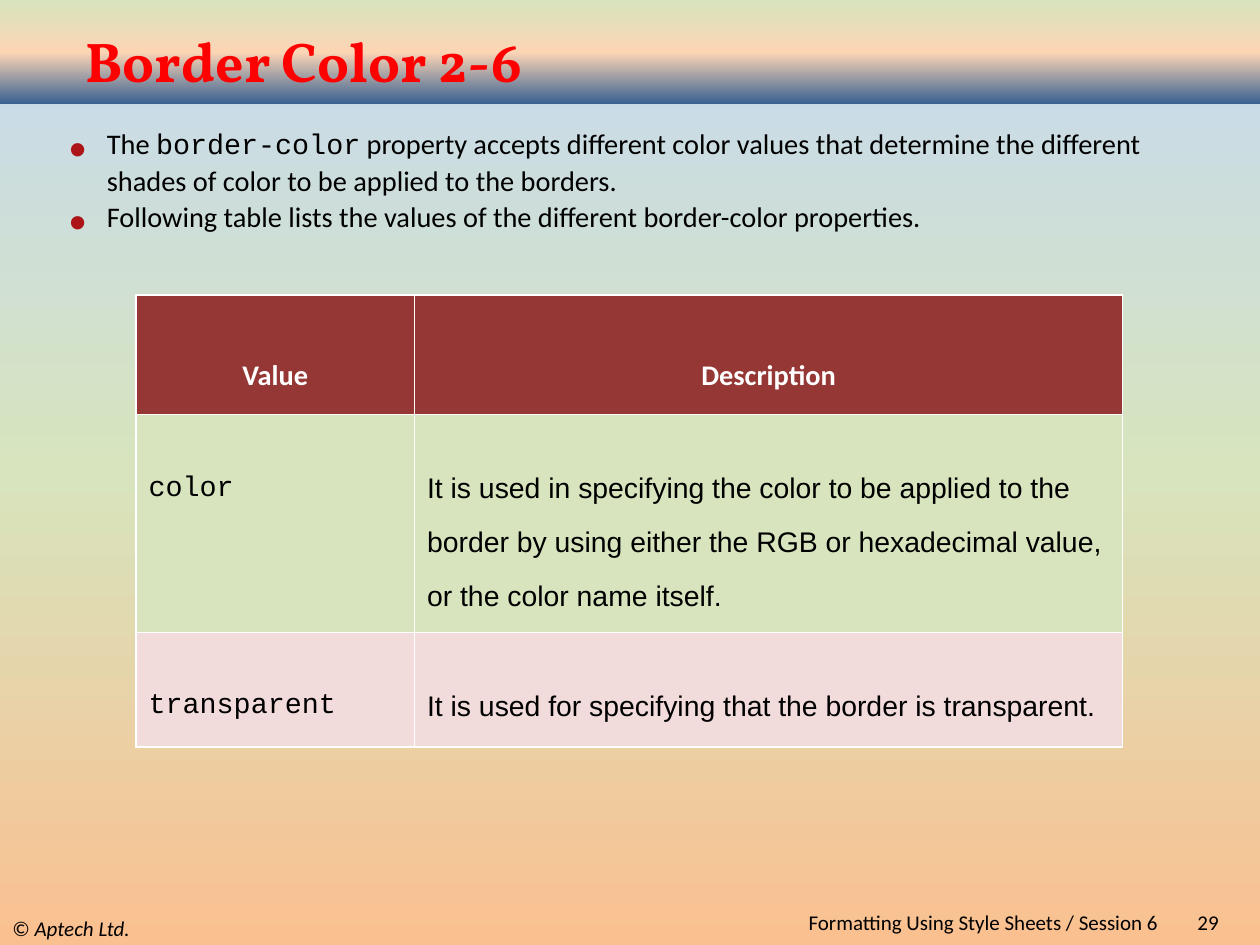
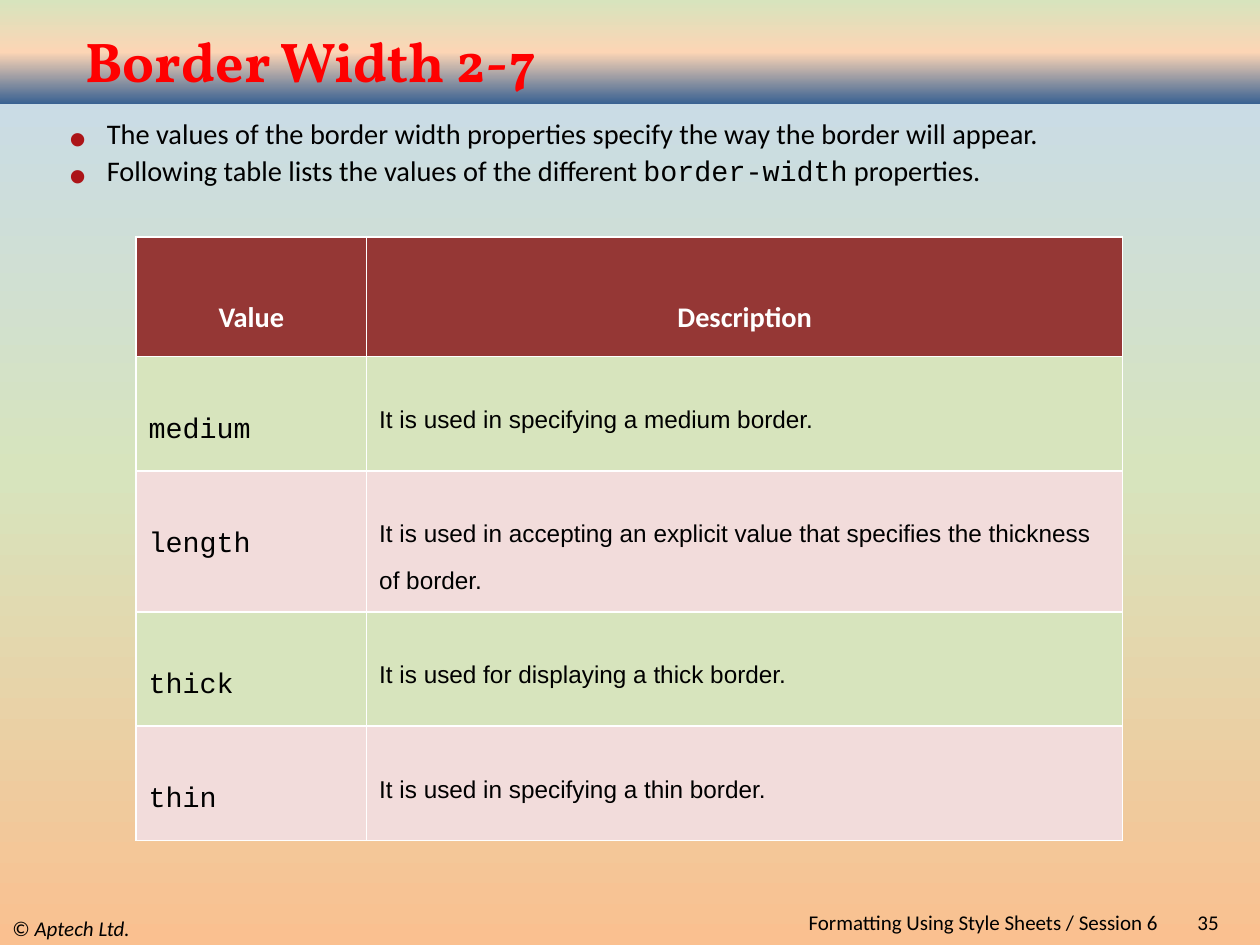
import pptx
import pptx.dml.color
import pptx.enum.shapes
import pptx.enum.text
import pptx.oxml
import pptx.oxml.ns
import pptx.util
from dataclasses import dataclass

Inches = pptx.util.Inches
Pt = pptx.util.Pt
qn = pptx.oxml.ns.qn
ALIGN = pptx.enum.text.PP_ALIGN
ANCHOR = pptx.enum.text.MSO_ANCHOR


@dataclass(frozen=True)
class Theme:
    # Colours
    background: tuple = ("FAC090", "D7E4BD", "C6D9F1")
    band: tuple = ("376092", "FCD5B5", "D7E4BD")
    title: str = "FF0000"
    text: str = "000000"
    bullet: str = "AC1418"
    header: str = "953735"
    header_text: str = "FFFFFF"
    border: str = "FFFFFF"
    rows: tuple = ("D7E4BD", "F2DCDB")
    # Fonts
    title_font: str = "Vollkorn"
    body_font: str = "Calibri"
    code_font: str = "Courier New"
    cell_font: str = "Arial"
    # Type sizes; body and table text is raised by 30 percent
    title_size: int = 32
    body_size: int = 28
    footer_size: int = 12
    body_pitch: int = 21
    raised: str = "30000"


T = Theme()


# Text helpers
def rgb(value):
    return pptx.dml.color.RGBColor.from_string(value)


def add_run(p, text, size, name=T.body_font, color=T.text, raised=False, **formats):
    r = p.add_run()
    r.text = text
    for key, value in {"size": Pt(size), "name": name, **formats}.items():
        setattr(r.font, key, value)
    r.font.color.rgb = rgb(color)
    if raised:
        r._r.get_or_add_rPr().set("baseline", T.raised)


def add_text_box(s, left, top, width, height, anchor=ANCHOR.MIDDLE, align=ALIGN.LEFT):
    tf = s.shapes.add_textbox(*map(Inches, (left, top, width, height))).text_frame
    tf.word_wrap = True
    tf.vertical_anchor = anchor
    tf.paragraphs[0].alignment = align
    return tf


# Shared frame: background, band, title and footers
def set_gradient(fill, element, colors):
    """Fill with evenly spaced colours that run from bottom to top."""
    fill.solid()
    solid = next(element.iter(qn("a:solidFill")))
    step = 100000 // (len(colors) - 1)
    stops = "".join(f'<a:gs pos="{i * step}"><a:srgbClr val="{c}"/></a:gs>'
                    for i, c in enumerate(colors))
    gradient = pptx.oxml.parse_xml(
        f'<a:gradFill {pptx.oxml.ns.nsdecls("a")} rotWithShape="1">'
        f'<a:gsLst>{stops}</a:gsLst><a:lin ang="16200000" scaled="0"/></a:gradFill>')
    solid.getparent().replace(solid, gradient)


def add_frame(prs, title, number):
    s = prs.slides.add_slide(prs.slide_layouts[6])
    set_gradient(s.background.fill, s.element, T.background)

    band = s.shapes.add_shape(pptx.enum.shapes.MSO_SHAPE.RECTANGLE,
                              0, 0, prs.slide_width, Inches(0.83))
    band.shadow.inherit = False
    band.line.fill.background()
    set_gradient(band.fill, band.element.spPr, T.band)

    p = add_text_box(s, 0, 7.23, 3.33, 0.27).paragraphs[0]
    add_run(p, "© ", T.footer_size)
    add_run(p, "Aptech Ltd.", T.footer_size, italic=True)
    for text, left, width in ((str(number), 8.92, 0.85),
                              ("Formatting Using Style Sheets / Session 6", 2.75, 6.54)):
        tf = add_text_box(s, left, 7.23, width, 0.18, align=ALIGN.RIGHT)
        add_run(tf.paragraphs[0], text, T.footer_size)

    tf = add_text_box(s, 0.58, 0.25, 8.33, 0.45)
    add_run(tf.paragraphs[0], title, T.title_size, T.title_font, T.title, bold=True)
    return s


# Bullets: each item is a list of (text, font) pieces
def add_bullets(s, top, height, items):
    tf = add_text_box(s, 0.25, top, 9.5, height, ANCHOR.TOP)
    for i, pieces in enumerate(items):
        p = tf.paragraphs[0] if i == 0 else tf.add_paragraph()
        p.line_spacing = Pt(T.body_pitch)
        pPr = p._p.get_or_add_pPr()
        pPr.set("marL", str(Inches(0.5)))
        pPr.set("indent", str(Inches(-0.3)))
        ns = pptx.oxml.ns.nsdecls("a")
        for xml in (f'<a:buClr {ns}><a:srgbClr val="{T.bullet}"/></a:buClr>',
                    f'<a:buFont {ns} typeface="Arial"/>',
                    f'<a:buChar {ns} char="•"/>'):
            pPr.append(pptx.oxml.parse_xml(xml))
        for text, font in pieces:
            add_run(p, text, T.body_size, font, raised=True)


# Table
def fill_cell(cell, text, fill, size, top, align=ALIGN.LEFT, pitch=None, **formats):
    tcPr = cell._tc.get_or_add_tcPr()
    for side in ("lnL", "lnR", "lnT", "lnB"):
        tcPr.append(pptx.oxml.parse_xml(
            f'<a:{side} {pptx.oxml.ns.nsdecls("a")} w="{Pt(1)}"><a:solidFill>'
            f'<a:srgbClr val="{T.border}"/></a:solidFill></a:{side}>'))
    cell.fill.solid()
    cell.fill.fore_color.rgb = rgb(fill)
    margins = {"margin_left": 0.1, "margin_right": 0.1, "margin_top": top, "margin_bottom": 0}
    for key, value in margins.items():
        setattr(cell, key, Inches(value))
    p = cell.text_frame.paragraphs[0]
    p.alignment = align
    if pitch:
        p.line_spacing = Pt(pitch)
    add_run(p, text, size, raised=True, **formats)


def add_value_table(s, top, widths, heights, values, size, pitch):
    """Value and description columns; text starts one line below each row's top."""
    box = (1.08, top, sum(widths), sum(heights))
    table = s.shapes.add_table(len(heights), 2, *map(Inches, box)).table
    table.horz_banding = False
    for column, width in zip(table.columns, widths):
        column.width = Inches(width)
    for row, height in zip(table.rows, heights):
        row.height = Inches(height)

    for col, text in enumerate(("Value", "Description")):
        fill_cell(table.cell(0, col), text, T.header, T.body_size, 0.47,
                  ALIGN.CENTER, color=T.header_text, bold=True)
    for i, (value, description) in enumerate(values):
        fill = T.rows[i % 2]
        fill_cell(table.cell(i + 1, 0), value, fill, T.body_size, 0.44,
                  name=T.code_font, bold=False)
        fill_cell(table.cell(i + 1, 1), description, fill, size, round(pitch / 72, 2),
                  pitch=pitch, name=T.cell_font, bold=False)


# Slides
def add_border_color(prs):
    s = add_frame(prs, "Border Color 2-6", 29)
    add_bullets(s, 1.08, 1, [
        [("The ", T.body_font), ("border-color", T.code_font),
         (" property accepts different color values that determine the different "
          "shades of color to be applied to the borders.", T.body_font)],
        [("Following table lists the values of the different border-color properties.",
          T.body_font)]])
    add_value_table(s, 2.34, (2.21, 5.62), (0.95, 1.73, 0.88), [
        ("color", "It is used in specifying the color to be applied to the border by using "
                  "either the RGB or hexadecimal value, or the color name itself."),
        ("transparent", "It is used for specifying that the border is transparent.")],
        size=28, pitch=31)


def add_border_width(prs):
    s = add_frame(prs, "Border Width 2-7", 35)
    add_bullets(s, 1, 0.83, [
        [("The values of the border width properties specify the way the border will appear.",
          T.body_font)],
        [("Following table lists the values of the different ", T.body_font),
         ("border-width", T.code_font), (" properties.", T.body_font)]])
    add_value_table(s, 1.88, (1.83, 6), (0.95, 0.88, 1.12, 0.88, 0.88), [
        ("medium", "It is used in specifying a medium border."),
        ("length", "It is used in accepting an explicit value that specifies "
                   "the thickness of border."),
        ("thick", "It is used for displaying a thick border."),
        ("thin", "It is used in specifying a thin border.")],
        size=24, pitch=26.8)


def main():
    prs = pptx.Presentation()
    prs.slide_width, prs.slide_height = Inches(10), Inches(7.5)
    add_border_color(prs)
    add_border_width(prs)
    prs.save("out.pptx")


if __name__ == "__main__":
    main()
